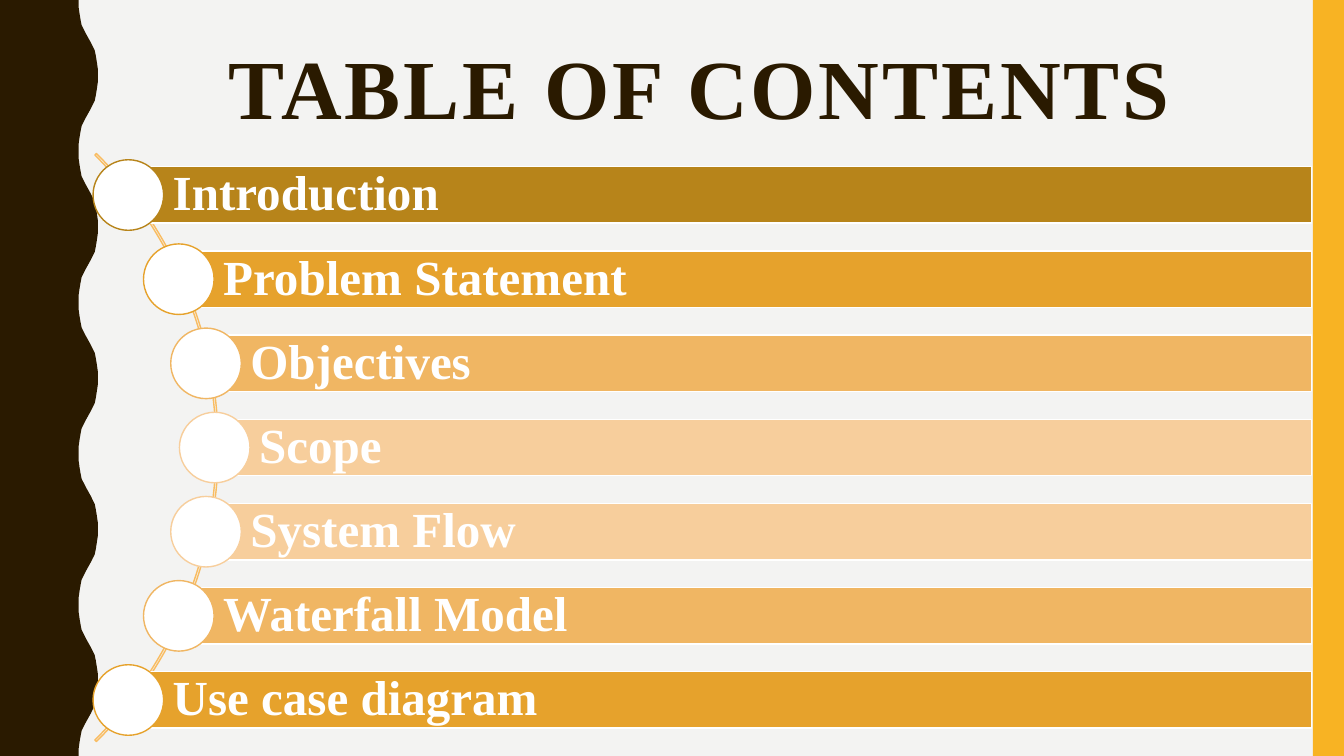
from math import sqrt

from pptx import Presentation
from pptx.dml.color import RGBColor
from pptx.enum.shapes import MSO_SHAPE
from pptx.enum.text import MSO_ANCHOR, PP_ALIGN
from pptx.util import Inches, Pt

RECT, OVAL, ARC = MSO_SHAPE.RECTANGLE, MSO_SHAPE.OVAL, MSO_SHAPE.BLOCK_ARC
TOP, MIDDLE = MSO_ANCHOR.TOP, MSO_ANCHOR.MIDDLE
LEFT, CENTER = PP_ALIGN.LEFT, PP_ALIGN.CENTER

FONT = "Times New Roman"
PAPER = RGBColor(0xF3, 0xF3, 0xF2)
BROWN = RGBColor(0x2A, 0x1A, 0x00)
YELLOW = RGBColor(0xF8, 0xB3, 0x23)
ARC_LINE = RGBColor(0xF9, 0xBC, 0x61)
WHITE = RGBColor(0xFF, 0xFF, 0xFF)
OCHRE = RGBColor(0xB7, 0x84, 0x1A)
AMBER = RGBColor(0xE6, 0xA2, 0x2C)
SAND = RGBColor(0xF0, 0xB6, 0x63)
CREAM = RGBColor(0xF7, 0xCE, 0x9C)

CONTENTS = [
    ("Introduction", OCHRE),
    ("Problem Statement", AMBER),
    ("Objectives", SAND),
    ("Scope", CREAM),
    ("System Flow", CREAM),
    ("Waterfall Model", SAND),
    ("Use case diagram", AMBER),
]


def style(sp, fill=None, line=None):
    sp.shadow.inherit = False
    if fill is None:
        sp.fill.background()
    else:
        sp.fill.solid()
        sp.fill.fore_color.rgb = fill
    if line is None:
        sp.line.fill.background()
    else:
        sp.line.color.rgb = line
        sp.line.width = Pt(1)


def add_shape(s, kind, x, y, w, h, fill=None, line=None):
    sp = s.shapes.add_shape(kind, Inches(x), Inches(y), Inches(w), Inches(h))
    style(sp, fill, line)
    return sp


def write(sp, text, size, color, align, anchor):
    tf = sp.text_frame
    tf.word_wrap = True
    tf.vertical_anchor = anchor
    p = tf.paragraphs[0]
    p.alignment = align
    p.line_spacing = 0.9
    p.font.name, p.font.size, p.font.bold = FONT, Pt(size), True
    p.font.color.rgb = color
    r = p.add_run()
    r.text = text
    return r


def add_wavy_edge(s, x, y, h, waves):
    """Brown band whose right edge repeats one mirrored quarter wave."""
    pitch = h / waves
    quarter = [(0.78, 0), (0.78, 0.07), (0.79, 0.14), (0.8, 0.2),
               (0.81, 0.25), (0.83, 0.29), (0.85, 0.33)]
    half = quarter + [(1.75 - px, pitch / 2 - py) for px, py in reversed(quarter)]
    wave = half + [(px, pitch - py) for px, py in reversed(half)]
    edge = [(x + px, y + i * pitch + py) for i in range(waves) for px, py in wave]
    builder = s.shapes.build_freeform(Inches(x), Inches(y), scale=1.0)
    builder.add_line_segments(
        [(Inches(px), Inches(py)) for px, py in edge + [(x, y + h)]], close=True)
    style(builder.convert_to_shape(), BROWN)


def add_title(s, x, y, w, h):
    sp = s.shapes.add_textbox(Inches(x), Inches(y), Inches(w), Inches(h))
    r = write(sp, "TABLE OF CONTENTS", 60, BROWN, CENTER, TOP)
    r._r.get_or_add_rPr().set("spc", "200")  # letter spacing of 2 pt


def add_contents(s, x, y, right, pitch):
    """Bars whose dots sit on an arc; x, y is the centre of the arc."""
    bar_h, dot, size, radius = 0.56, 0.7, 8.25, 4.09

    # Arc behind the dots
    arc = add_shape(s, ARC, x - size / 2, y - size / 2, size, size, line=ARC_LINE)
    for i, value in enumerate((189, 27, 0.0026)):
        arc.adjustments[i] = value

    # One bar and one dot for each entry
    for i, (text, color) in enumerate(CONTENTS):
        dy = (i - (len(CONTENTS) - 1) / 2) * pitch
        cx, cy = x + sqrt(radius ** 2 - dy ** 2), y + dy
        bar = add_shape(s, RECT, cx, cy - bar_h / 2, right - cx, bar_h, color, WHITE)
        tf = bar.text_frame
        tf.margin_left = Inches(0.44)
        tf.margin_right = tf.margin_top = tf.margin_bottom = Inches(0.1)
        write(bar, text, 35, WHITE, LEFT, MIDDLE)
        add_shape(s, OVAL, cx - dot / 2, cy - dot / 2, dot, dot, WHITE, color)


prs = Presentation()
prs.slide_width, prs.slide_height = Inches(13.33), Inches(7.5)
s = prs.slides.add_slide(prs.slide_layouts[6])
s.background.fill.solid()
s.background.fill.fore_color.rgb = PAPER

# Side bands
add_wavy_edge(s, 0, 0, 7.5, waves=5)
add_shape(s, RECT, 13.02, 0, 0.31, 7.5, YELLOW)

# Heading and list
add_title(s, 1.37, 0.42, 11.13, 1.63)
add_contents(s, -1.96, 4.44, right=13.01, pitch=0.835)

prs.save("out.pptx")
